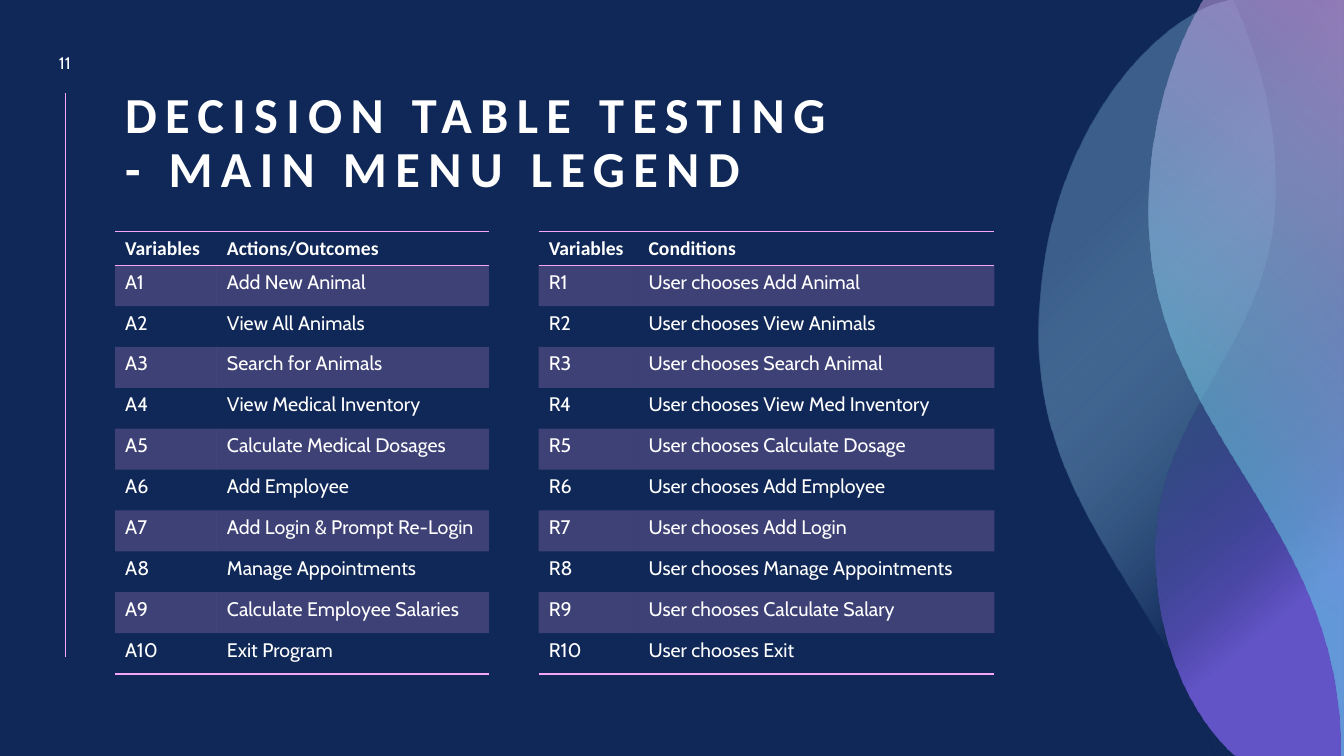
from lxml import etree
from pptx import Presentation
from pptx.dml.color import RGBColor
from pptx.enum.shapes import MSO_CONNECTOR
from pptx.enum.text import MSO_ANCHOR, MSO_AUTO_SIZE, PP_ALIGN
from pptx.oxml import parse_xml
from pptx.oxml.ns import nsdecls, qn
from pptx.util import Pt

STRAIGHT = MSO_CONNECTOR.STRAIGHT
MIDDLE, BOTTOM = MSO_ANCHOR.MIDDLE, MSO_ANCHOR.BOTTOM
LEFT, CENTER = PP_ALIGN.LEFT, PP_ALIGN.CENTER
NO_AUTOFIT = MSO_AUTO_SIZE.NONE
PLAIN_TABLE = "{2D5ABB26-0587-4C30-8999-92F81FD0307C}"

COLORS = {"navy": "102857", "white": "FFFFFF", "pink": "F6A6F4",
          "sky": "92CDF0", "violet": "765FE1", "cyan": "64DFED"}
HEADING_FONT, BODY_FONT = "Calibri", "Cabin"
WIDTH, HEIGHT = 960, 540

# Content
TITLE = "DECISION TABLE TESTING\v- MAIN MENU LEGEND"
PAGE_NUMBER = "11"
TABLES = [
    {"left": 82.2, "columns": (72.7, 194.4), "prefix": "A",
     "header": ("Variables", "Actions/Outcomes"),
     "entries": ["Add New Animal", "View All Animals", "Search for Animals",
                 "View Medical Inventory", "Calculate Medical Dosages",
                 "Add Employee", "Add Login & Prompt Re-Login",
                 "Manage Appointments", "Calculate Employee Salaries",
                 "Exit Program"]},
    {"left": 384.8, "columns": (71.3, 254.2), "prefix": "R",
     "header": ("Variables", "Conditions"),
     "entries": ["User chooses Add Animal", "User chooses View Animals",
                 "User chooses Search Animal", "User chooses View Med Inventory",
                 "User chooses Calculate Dosage", "User chooses Add Employee",
                 "User chooses Add Login", "User chooses Manage Appointments",
                 "User chooses Calculate Salary", "User chooses Exit"]},
]
TABLE_TOP, HEADER_HEIGHT, ROW_HEIGHT = 165.4, 24, 29.2

# Ribbons run along the right edge; each curve is two handles and an end.
# Stops are position, colour and opacity in percent.
RIBBONS = [
    {"top": 878.4, "bottom": 866.9, "edge": (865.4, 535),
     "curves": [((830.9, 428.4), (742.3, 362.2), (742, 240.5)),
                ((741.6, 108.7), (815, 22.3), (867.6, 2.9))],
     "stops": [(26, "navy", 100), (73, "sky", 33)], "angle": 225},
    {"top": 880.6, "bottom": 882.7, "edge": (881.3, 539.3),
     "curves": [((853.2, 514.1), (825.1, 463), (825.1, 393.1)),
                ((825.8, 290.9), (909.4, 247), (910.8, 138.2)),
                ((911.5, 84.2), (898.6, 41.8), (884.2, 8.6))],
     "stops": [(37, "navy", 28), (79, "violet", 80)], "angle": 50},
    {"top": 859.7, "bottom": 957.6, "edge": (957.6, 530.6),
     "curves": [((954.7, 370.1), (821.5, 305.3), (820.8, 154.8)),
                ((820.1, 97.9), (833.8, 49.7), (853.2, 12.2))],
     "stops": [(32, "cyan", 48), (100, "pink", 49)], "angle": 310},
]


def rgb(name):
    return RGBColor.from_string(COLORS[name])


def format_para(para, size, font, bold=False, align=LEFT):
    para.alignment = align
    para.font.size = Pt(size)
    para.font.name = font
    para.font.bold = bold
    para.font.color.rgb = rgb("white")


def bend_segments(shape, first, count):
    """Turn each three straight segments from the given one into a curve."""
    segments = shape._element.findall(".//" + qn("a:lnTo"))[first:]
    for index in range(count):
        triple = segments[index * 3:index * 3 + 3]
        curve = etree.Element(qn("a:cubicBezTo"))
        triple[0].addprevious(curve)
        for segment in triple:
            curve.append(segment[0])
            segment.getparent().remove(segment)


def add_ribbon(page, ribbon):
    points = [(WIDTH, 0), (WIDTH, HEIGHT), (ribbon["bottom"], HEIGHT), ribbon["edge"]]
    straight_count = len(points)
    for curve in ribbon["curves"]:
        points.extend(curve)
    builder = page.shapes.build_freeform(Pt(ribbon["top"]), 0)
    builder.add_line_segments([(Pt(x), Pt(y)) for x, y in points]
                              + [(Pt(ribbon["top"]), 0)], close=True)
    shape = builder.convert_to_shape()
    bend_segments(shape, straight_count, len(ribbon["curves"]))
    shape.shadow.inherit = False
    shape.line.fill.background()
    stops = "".join(
        f'<a:gs pos="{position * 1000}"><a:srgbClr val="{COLORS[name]}">'
        f'<a:alpha val="{opacity * 1000}"/></a:srgbClr></a:gs>'
        for position, name, opacity in ribbon["stops"])
    gradient = parse_xml(
        f'<a:gradFill {nsdecls("a")} rotWithShape="1"><a:gsLst>{stops}</a:gsLst>'
        f'<a:lin ang="{ribbon["angle"] * 60000}" scaled="0"/></a:gradFill>')
    shape._element.spPr.find(qn("a:custGeom")).addnext(gradient)


def add_border(cell, side):
    cell._tc.get_or_add_tcPr().append(parse_xml(
        f'<a:{side} {nsdecls("a")} w="{Pt(1)}"><a:solidFill>'
        f'<a:srgbClr val="{COLORS["pink"]}"/></a:solidFill></a:{side}>'))


def add_legend(page, legend):
    rows = [legend["header"]]
    rows += [(f'{legend["prefix"]}{number}', entry)
             for number, entry in enumerate(legend["entries"], 1)]
    last = len(rows) - 1
    frame = page.shapes.add_table(
        len(rows), 2, Pt(legend["left"]), Pt(TABLE_TOP),
        Pt(sum(legend["columns"])), Pt(HEADER_HEIGHT + last * ROW_HEIGHT))
    table = frame.table
    table.first_row = table.horz_banding = False
    table._tbl.tblPr.find(qn("a:tableStyleId")).text = PLAIN_TABLE
    for column, width in zip(table.columns, legend["columns"]):
        column.width = Pt(width)
    for index, texts in enumerate(rows):
        is_header = index == 0
        table.rows[index].height = Pt(HEADER_HEIGHT if is_header else ROW_HEIGHT)
        for cell, text in zip(table.rows[index].cells, texts):
            cell.text = text
            format_para(cell.text_frame.paragraphs[0], 14,
                        HEADING_FONT if is_header else BODY_FONT, is_header)
            if is_header:
                add_border(cell, "lnT")
            if index in (0, last):
                add_border(cell, "lnB")
            if index % 2:
                cell.fill.solid()
                cell.fill.fore_color.rgb = rgb("pink")
                color = cell._tc.tcPr.find(qn("a:solidFill"))[0]
                etree.SubElement(color, qn("a:alpha")).set("val", "20000")
            else:
                cell.fill.background()


def main():
    deck = Presentation()
    deck.slide_width, deck.slide_height = Pt(WIDTH), Pt(HEIGHT)
    page = deck.slides.add_slide(deck.slide_layouts[5])
    page.background.fill.solid()
    page.background.fill.fore_color.rgb = rgb("navy")

    # Side rule and ribbons
    rule = page.shapes.add_connector(STRAIGHT, Pt(46.8), Pt(66.8), Pt(46.8), Pt(469.4))
    rule.line.color.rgb = rgb("pink")
    rule.line.width = Pt(0.5)
    etree.SubElement(rule._element.spPr, qn("a:effectLst"))
    for ribbon in RIBBONS:
        add_ribbon(page, ribbon)

    # Page number
    box = page.shapes.add_textbox(Pt(25.9), Pt(32.4), Pt(41), Pt(24.5))
    box.text_frame.word_wrap = True
    box.text_frame.vertical_anchor = MIDDLE
    box.text_frame.text = PAGE_NUMBER
    format_para(box.text_frame.paragraphs[0], 12, BODY_FONT, align=CENTER)

    # Legend tables
    for legend in TABLES:
        add_legend(page, legend)

    # Title
    title = page.shapes.title
    title.left, title.top, title.width, title.height = Pt(82.1), Pt(65.5), Pt(699), Pt(80)
    title.text_frame.text = TITLE
    title.text_frame.auto_size = NO_AUTOFIT
    title.text_frame.vertical_anchor = BOTTOM
    heading = title.text_frame.paragraphs[0]
    heading.line_spacing = 0.9
    format_para(heading, 36, HEADING_FONT, bold=True)
    for span in heading.runs:
        span._r.get_or_add_rPr().set("spc", "600")

    deck.save("out.pptx")


if __name__ == "__main__":
    main()
